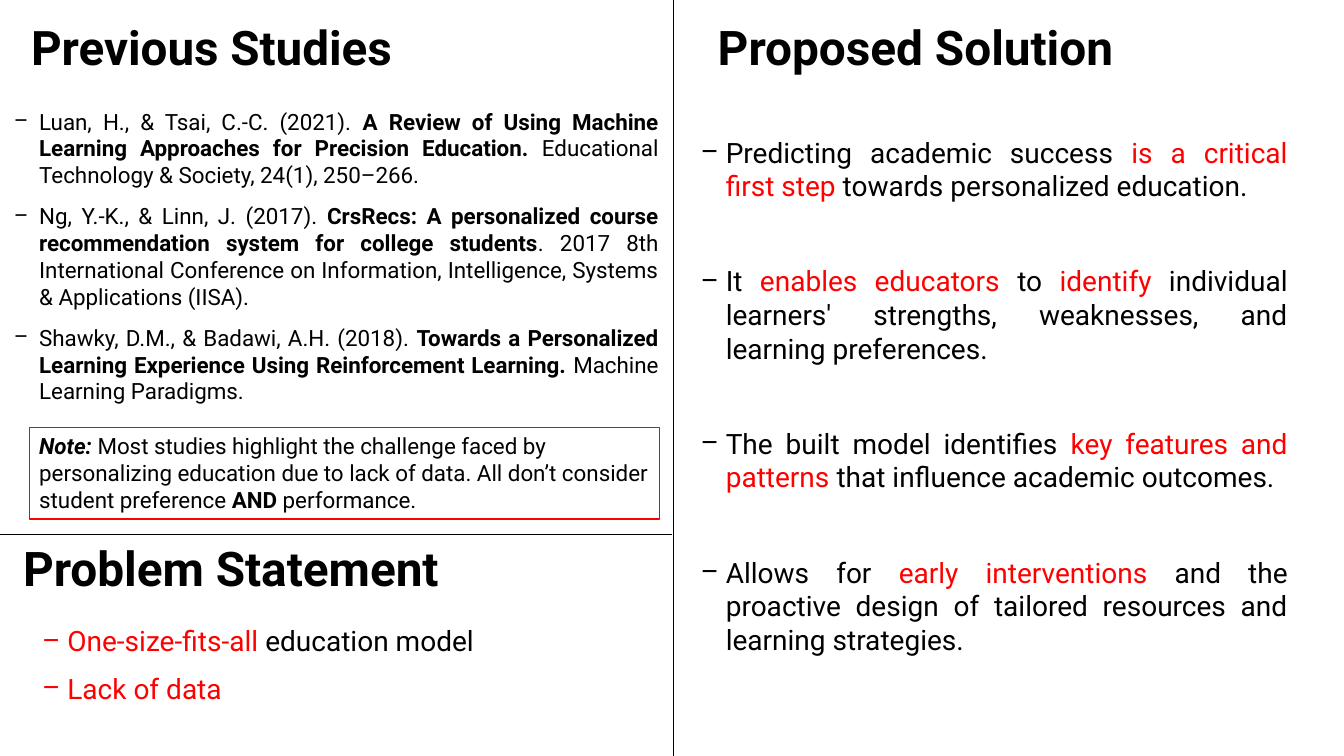
"""Builds a slide on previous studies, the problem and the proposed solution."""
from pptx import Presentation
from pptx.dml.color import RGBColor
from pptx.enum.shapes import MSO_CONNECTOR, MSO_SHAPE
from pptx.enum.text import MSO_ANCHOR, PP_ALIGN
from pptx.oxml.ns import qn
from pptx.util import Inches, Pt
from lxml.etree import SubElement

COLORS = {"black": "000000", "red": "FF0000", "white": "FFFFFF"}
FONT = "Roboto"

STUDIES = [
    [("Luan, H., & Tsai, C.-C. (2021). ", ""),
     ("A Review of Using Machine Learning Approaches for Precision Education. ", "b"),
     ("Educational Technology & Society, 24(1), 250–266.", "")],
    [("Ng, Y.-K., & Linn, J. (2017). ", ""),
     ("CrsRecs: A personalized course recommendation system for college students", "b"),
     (". 2017 8th International Conference on Information, Intelligence, "
      "Systems & Applications (IISA).", "")],
    [("Shawky, D.M., & Badawi, A.H. (2018). ", ""),
     ("Towards a Personalized Learning Experience Using Reinforcement Learning. ", "b"),
     ("Machine Learning Paradigms.", "")],
]
NOTE = [
    ("Note: ", "bi"),
    ("Most studies highlight the challenge faced by personalizing education due to "
     "lack of data. All don’t consider student preference ", ""),
    ("AND", "b"),
    (" performance.", ""),
]
PROBLEMS = [
    [("One-size-fits-all", "r"), (" education model", "")],
    [("Lack of data", "r")],
]
SOLUTION = [
    [("Predicting academic success ", ""), ("is a critical first step", "r"),
     (" towards personalized education.", "")],
    [("It ", ""), ("enables educators", "r"), (" to ", ""), ("identify ", "r"),
     ("individual learners' strengths, weaknesses, and learning preferences.", "")],
    [("The built model identifies ", ""), ("key features and patterns", "r"),
     (" that influence academic outcomes.", "")],
    [("Allows for ", ""), ("early interventions ", "r"),
     ("and the proactive design of tailored resources and learning strategies.", "")],
]


def color(name):
    return RGBColor.from_string(COLORS[name])


class Board:
    def __init__(self, slide):
        self.shapes = slide.shapes

    def fill(self, para, parts, size):
        for text, style in parts:
            run = para.add_run()
            run.text = text
            font = run.font
            font.name = FONT
            font.size = Pt(size)
            font.bold = "b" in style
            font.italic = "i" in style
            font.color.rgb = color("red" if "r" in style else "black")

    def frame(self, box):
        shape = self.shapes.add_textbox(*map(Inches, box))
        frame = shape.text_frame
        frame.word_wrap = True
        return frame

    def title(self, text, left, top, size=34.1):
        frame = self.frame((left, top, 4.72, 0.73))
        self.fill(frame.paragraphs[0], [(text, "b")], size)

    def bullets(self, items, box, size, gap=10, align=PP_ALIGN.JUSTIFY):
        frame = self.frame(box)
        for index, parts in enumerate(items):
            para = frame.add_paragraph() if index else frame.paragraphs[0]
            para.alignment = align
            para.space_before = Pt(gap if index else 0)
            props = para._p.get_or_add_pPr()
            props.set("marL", str(Inches(0.25)))
            props.set("indent", str(Inches(-0.25)))
            SubElement(props, qn("a:buFont")).set("typeface", FONT)
            SubElement(props, qn("a:buChar")).set("char", "–")
            self.fill(para, parts, size)

    def note(self, parts, box):
        shape = self.shapes.add_shape(MSO_SHAPE.RECTANGLE, *map(Inches, box))
        shape.shadow.inherit = False
        shape.fill.solid()
        shape.fill.fore_color.rgb = color("white")
        shape.line.color.rgb = color("red")
        shape.line.width = Pt(1)
        frame = shape.text_frame
        frame.word_wrap = True
        frame.vertical_anchor = MSO_ANCHOR.TOP
        para = frame.paragraphs[0]
        para.alignment = PP_ALIGN.LEFT
        self.fill(para, parts, 16)

    def rule(self, *ends):
        line = self.shapes.add_connector(MSO_CONNECTOR.STRAIGHT, *map(Inches, ends))
        line.line.color.rgb = color("black")
        line.line.width = Pt(0.5)
        SubElement(line._element.spPr, qn("a:effectLst"))


def main():
    deck = Presentation()
    deck.slide_width = Inches(13.33)
    deck.slide_height = Inches(7.5)
    board = Board(deck.slides.add_slide(deck.slide_layouts[6]))

    board.rule(6.68, 0, 6.68, 7.5)
    board.rule(6.67, 5.3, 0, 5.3)

    board.title("Previous Studies", 0.21, 0.13, 34)
    board.bullets(STUDIES, (0.04, 1.02, 6.59, 3.24), 16)
    board.note(NOTE, (0.29, 4.24, 6.25, 0.91))

    board.title("Problem Statement", 0.13, 5.3)
    board.bullets(PROBLEMS, (0.32, 6.14, 5.97, 1.17), 20, align=PP_ALIGN.LEFT)

    board.title("Proposed Solution", 7.02, 0.13)
    board.bullets(SOLUTION, (6.85, 1.29, 6.02, 5.61), 20, gap=44)

    deck.save("out.pptx")


if __name__ == "__main__":
    main()
